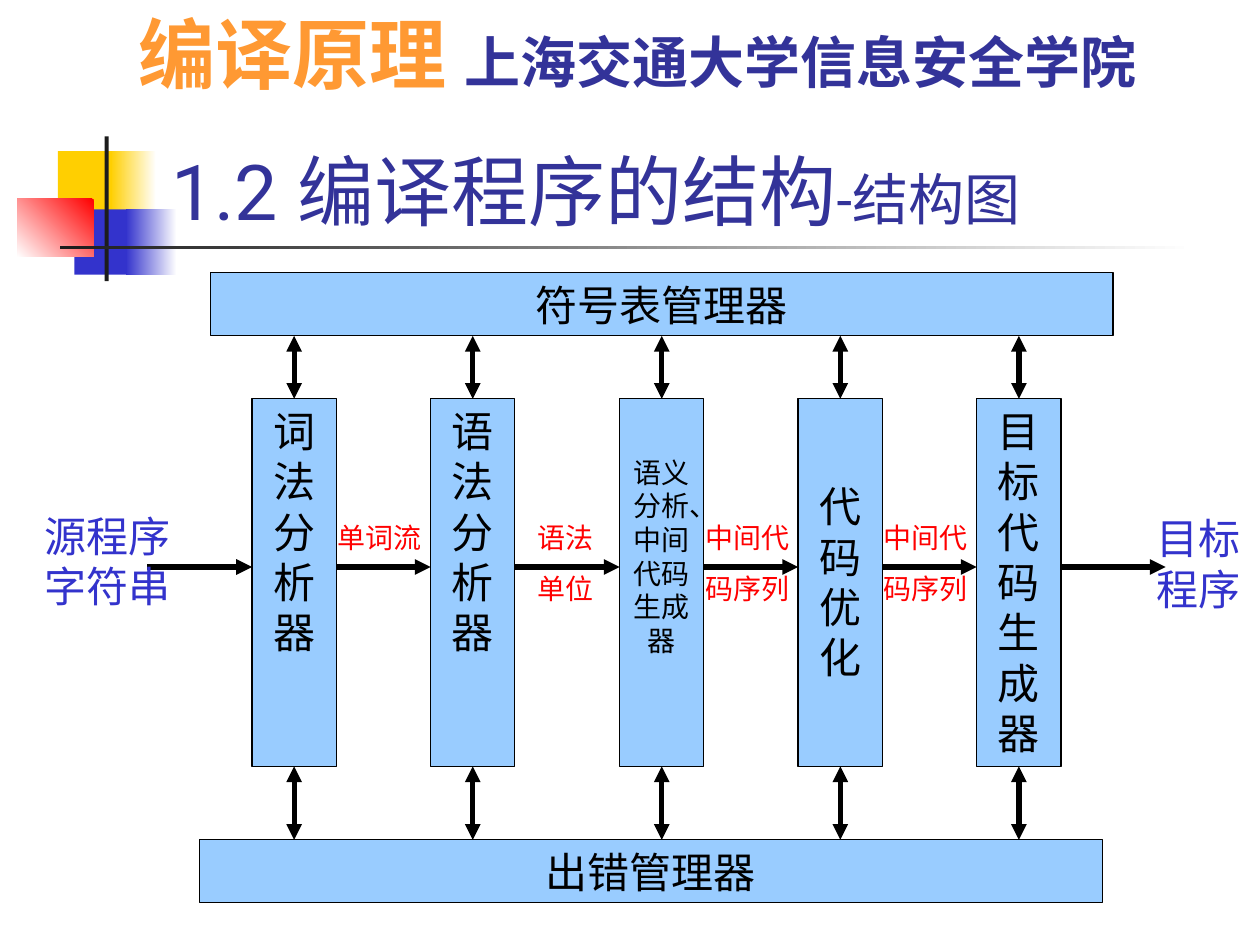
from lxml.etree import SubElement
from pptx import Presentation
from pptx.dml.color import RGBColor
from pptx.enum.shapes import MSO_CONNECTOR, MSO_SHAPE
from pptx.enum.text import MSO_ANCHOR, PP_ALIGN
from pptx.oxml.ns import qn
from pptx.util import Cm, Pt

FONT = "Roboto"
BLACK = RGBColor(0x00, 0x00, 0x00)
WHITE = RGBColor(0xFF, 0xFF, 0xFF)
CHARCOAL = RGBColor(0x1C, 0x1C, 0x1C)
YELLOW = RGBColor(0xFF, 0xCF, 0x01)
BLUE = RGBColor(0x33, 0x33, 0xCC)
NAVY = RGBColor(0x33, 0x33, 0x99)
RED = RGBColor(0xFF, 0x00, 0x00)
ORANGE = RGBColor(0xFF, 0x99, 0x33)
SKY = RGBColor(0x99, 0xCC, 0xFF)

# Content; all lengths in cm.
# Decoration: left, top, width, height, colours, gradient angle
DECORATION = [
    (1.17, 3.05, 1.22, 1.32, [YELLOW], None),
    (2.23, 3.05, 0.92, 1.32, [WHITE, YELLOW], 180),
    (1.5, 4.22, 1.17, 1.32, [BLUE], None),
    (2.54, 4.22, 1.02, 1.32, [WHITE, BLUE], 180),
    (0.35, 4.01, 1.54, 1.17, [RED, WHITE], 225),
    (2.11, 2.75, 0.08, 2.92, [CHARCOAL], None),
    (1.22, 4.95, 22.86, 0.08, [WHITE, CHARCOAL], 180),
]
# Runs: wording, size, colour, bold
HEADER = [("编译原理 ", 44, ORANGE, True), ("上海交通大学信息安全学院", 32, NAVY, True)]
TITLE = [("1.2 编译程序的结构", 44, NAVY, False), ("-结构图", 32, NAVY, False)]
SYMBOL_MANAGER = "符号表管理器"
ERROR_MANAGER = "出错管理器"
# Stages: wording, left, text size, top inset
STAGES = [
    ("词法分析器", 5.08, 24, 0.13),
    ("语法分析器", 8.68, 24, 0.13),
    ("语义分析、中间代码生成器", 12.49, 16, 1.14),
    ("代码优化", 16.09, 24, 1.65),
    ("目标代码生成器", 19.69, 24, 0.13),
]
# Data passed between stages: lines, left, width
FLOW_LABELS = [
    (["单词流"], 6.56, 2.54),
    (["语法", "单位"], 10.58, 1.7),
    (["中间代", "码序列"], 13.97, 2.54),
    (["中间代", "码序列"], 17.57, 2.54),
]
# Ends of the pipeline: wording, left, top, width
ENDPOINTS = [("源程序字符串", 0.64, 10.16, 3.6), ("目标程序", 23.07, 10.21, 2.54)]

STAGE_TOP, STAGE_WIDTH, STAGE_HEIGHT = 8.04, 1.7, 7.41
BAR_WIDTH, BAR_HEIGHT = 18.2, 1.27
SYMBOL_LEFT, SYMBOL_TOP = 4.24, 5.5
ERROR_LEFT, ERROR_TOP = 4.02, 16.93
FLOW_Y, FLOW_START, FLOW_END = 11.43, 2.97, 23.5
LABEL_TOP = 10.37

prs = Presentation()
prs.slide_width, prs.slide_height = Cm(25.4), Cm(19.05)
slide = prs.slides.add_slide(prs.slide_layouts[6])


def write(frame, paragraphs, align=PP_ALIGN.LEFT, gap=0):
    frame.word_wrap = True
    for index, runs in enumerate(paragraphs):
        paragraph = frame.add_paragraph() if index else frame.paragraphs[0]
        paragraph.alignment = align
        if index:
            paragraph.space_before = Pt(gap)
        for wording, size, colour, bold in runs:
            run = paragraph.add_run()
            run.text = wording
            run.font.name = FONT
            run.font.size = Pt(size)
            run.font.bold = bold
            run.font.color.rgb = colour


def add_text(left, top, width, height, paragraphs, gap=0):
    box = slide.shapes.add_textbox(Cm(left), Cm(top), Cm(width), Cm(height))
    write(box.text_frame, paragraphs, gap=gap)
    return box


def add_rectangle(left, top, width, height):
    rectangle = slide.shapes.add_shape(
        MSO_SHAPE.RECTANGLE, Cm(left), Cm(top), Cm(width), Cm(height))
    rectangle.shadow.inherit = False
    return rectangle


def add_box(left, top, width, height, wording, size=24, inset=0.13):
    box = add_rectangle(left, top, width, height)
    box.fill.solid()
    box.fill.fore_color.rgb = SKY
    box.line.color.rgb = BLACK
    box.line.width = Pt(0.75)
    frame = box.text_frame
    frame.vertical_anchor = MSO_ANCHOR.TOP
    frame.margin_top = Cm(inset)
    write(frame, [[(wording, size, BLACK, False)]], PP_ALIGN.CENTER)
    return box


def add_arrow(x1, y1, x2, y2, ends=("tailEnd",)):
    arrow = slide.shapes.add_connector(
        MSO_CONNECTOR.STRAIGHT, Cm(x1), Cm(y1), Cm(x2), Cm(y2))
    arrow.line.color.rgb = BLACK
    arrow.line.width = Pt(3)
    for end in ends:
        SubElement(arrow.line._get_or_add_ln(), qn(f"a:{end}"), type="triangle")
    SubElement(arrow._element.spPr, qn("a:effectLst"))
    return arrow


# Corner decoration and rule
for left, top, width, height, colours, angle in DECORATION:
    block = add_rectangle(left, top, width, height)
    block.line.fill.background()
    if angle is None:
        block.fill.solid()
        block.fill.fore_color.rgb = colours[0]
    else:
        block.fill.gradient()
        block.fill.gradient_angle = angle
        for stop, colour in zip(block.fill.gradient_stops, colours):
            stop.color.rgb = colour

# Header and title
add_text(2.54, 0, 22.86, 2.13, [HEADER])
title = add_text(3.2, 1.7, 21.64, 3.18, [TITLE])
title.text_frame.vertical_anchor = MSO_ANCHOR.BOTTOM

# Arrows from source program through every stage to target program
lefts = [left for _, left, _, _ in STAGES]
starts = [FLOW_START] + [left + STAGE_WIDTH for left in lefts]
for start, end in zip(starts, lefts + [FLOW_END]):
    add_arrow(start, FLOW_Y, end, FLOW_Y)

# Managers above and below
symbol_bar = add_box(SYMBOL_LEFT, SYMBOL_TOP, BAR_WIDTH, BAR_HEIGHT, SYMBOL_MANAGER)
add_box(ERROR_LEFT, ERROR_TOP, BAR_WIDTH, BAR_HEIGHT, ERROR_MANAGER)

# Stages, each linked both ways with the two managers
BOTH = ("headEnd", "tailEnd")
for index, (wording, left, size, inset) in enumerate(STAGES):
    stage = add_box(left, STAGE_TOP, STAGE_WIDTH, STAGE_HEIGHT, wording, size, inset)
    centre = left + STAGE_WIDTH / 2
    symbol_link = add_arrow(centre, SYMBOL_TOP + BAR_HEIGHT, centre, STAGE_TOP, BOTH)
    symbol_link.end_connect(stage, 0)
    if index == len(STAGES) // 2:  # the middle stage sits under the bar's centre
        symbol_link.begin_connect(symbol_bar, 2)
    error_link = add_arrow(centre, STAGE_TOP + STAGE_HEIGHT, centre, ERROR_TOP, BOTH)
    error_link.begin_connect(stage, 2)

# Flow labels and pipeline ends
for lines, left, width in FLOW_LABELS:
    add_text(left, LABEL_TOP, width, 0.94 if len(lines) == 1 else 1.96,
             [[(line, 16, RED, False)] for line in lines], gap=10)
for wording, left, top, width in ENDPOINTS:
    add_text(left, top, width, 2.29, [[(wording, 24, BLUE, False)]])

prs.save("out.pptx")
